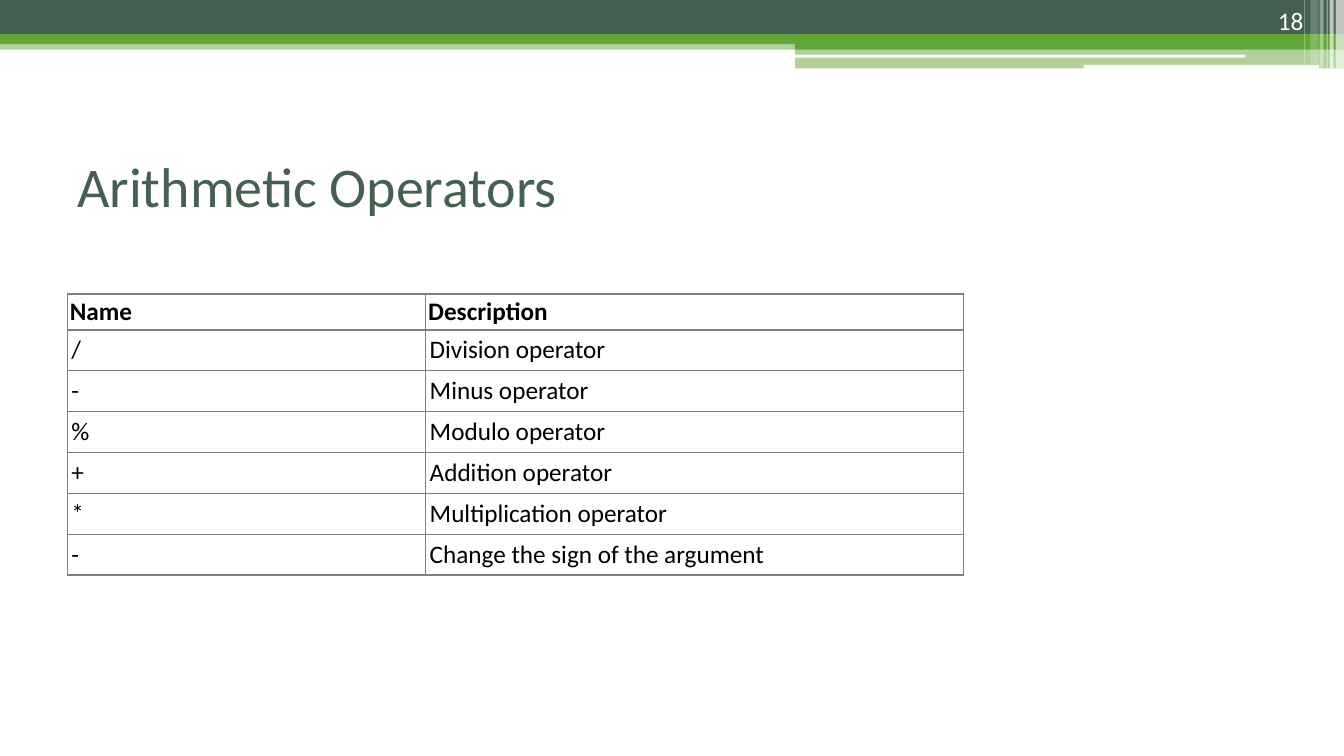
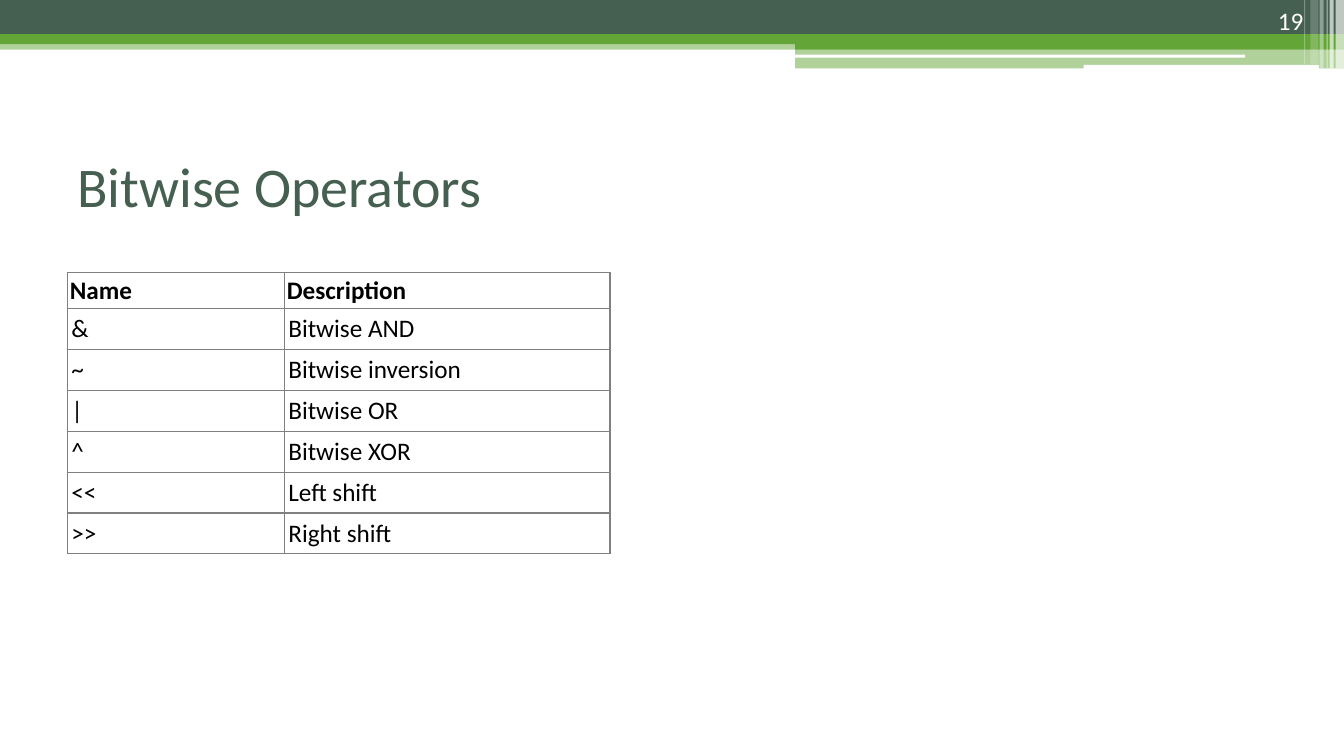
"""Builds two slides of operator tables under a shared green banner."""
from lxml import etree
from pptx import Presentation
from pptx.dml.color import RGBColor
from pptx.enum import shapes, text
from pptx.oxml import ns
from pptx.util import Pt

DARK_GREEN = RGBColor(0x45, 0x5F, 0x51)
GREEN = RGBColor(0x63, 0xA5, 0x37)
WHITE = RGBColor(0xFF, 0xFF, 0xFF)
BLACK = RGBColor(0, 0, 0)
GRAY = RGBColor(0x80, 0x80, 0x80)
FONT = "Calibri"
LEFT = 48
HEADER_HEIGHT, ROW_HEIGHT = 25.7, 29.17
HEADER_INSETS, ROW_INSETS = (1.88, 1.88), (3, 3.6)

RECT = shapes.MSO_SHAPE.RECTANGLE
ROUNDED = shapes.MSO_SHAPE.ROUNDED_RECTANGLE

BANNER = [
    (RECT, (0, 28.8, 960, 6.6), GREEN, 50),
    (RECT, (0, 0, 960, 24.4), DARK_GREEN, 100),
    (RECT, (0, 24.4, 960, 7.2), GREEN, 100),
    (RECT, (568, 28.2, 392, 7.2), GREEN, 100),
    (RECT, (568, 34.7, 392, 14.2), GREEN, 50),
    (ROUNDED, (567.6, 39.1, 321.8, 2.16), WHITE, 100),
    (ROUNDED, (774, 46.3, 168, 2.88), WHITE, 100),
    (RECT, (954, 0, 6, 48.9), WHITE, 65),
    (RECT, (949.8, 0, 2.9, 48.9), WHITE, 65),
    (RECT, (947.6, 0, 0.75, 48.9), WHITE, 60),
    (RECT, (942.6, 0, 2.9, 48.9), WHITE, 40),
    (RECT, (936, 0, 5.8, 46.1), WHITE, 20),
    (RECT, (931.6, 0, 0.75, 46.1), WHITE, 30),
]

ARITHMETIC = [
    ("Name", "Description"),
    ("/", "Division operator"),
    ("-", "Minus operator"),
    ("%", "Modulo operator"),
    ("+", "Addition operator"),
    ("*", "Multiplication operator"),
    ("-", "Change the sign of the argument"),
]

BITWISE = [
    ("Name", "Description"),
    ("&", "Bitwise AND"),
    ("~", "Bitwise inversion"),
    ("|", "Bitwise OR"),
    ("^", "Bitwise XOR"),
    ("<<", "Left shift"),
    (">>", "Right shift"),
]


def add_run(paragraph, wording, size, color, bold=False):
    """Append one formatted run to a paragraph."""
    run = paragraph.add_run()
    run.text = wording
    run.font.name = FONT
    run.font.size = Pt(size)
    run.font.bold = bold
    run.font.color.rgb = color


def add_band(slide, outline, box, color, opacity):
    """Draw one flat banner band and return it."""
    band = slide.shapes.add_shape(outline, *map(Pt, box))
    band.shadow.inherit = False
    band.line.fill.background()
    band.fill.solid()
    band.fill.fore_color.rgb = color
    if opacity < 100:
        tint = band.element.spPr.find(".//" + ns.qn("a:srgbClr"))
        etree.SubElement(tint, ns.qn("a:alpha"), val=str(opacity * 1000))
    return band


def style_layout(layout, slide):
    """Place the title and move the banner, drawn on a slide, to the layout."""
    title = layout.placeholders[0]
    title.left, title.top, title.width, title.height = map(Pt, (LEFT, 90, 864, 84))
    for number, band_style in enumerate(BANNER):
        band = add_band(slide, *band_style).element
        band.nvSpPr.cNvPr.set("id", str(100 + number))
        layout.shapes.element.insert(2 + number, band)


def fill_title(slide, wording):
    """Write the slide title in its placeholder."""
    frame = slide.shapes.title.text_frame
    frame.auto_size = text.MSO_AUTO_SIZE.NONE
    frame.vertical_anchor = text.MSO_ANCHOR.MIDDLE
    frame.paragraphs[0].alignment = text.PP_ALIGN.LEFT
    add_run(frame.paragraphs[0], wording, 40, DARK_GREEN)


def add_page_number(slide, number):
    """Write the page number at the right end of the banner."""
    frame = slide.shapes.add_textbox(Pt(858.2), 0, Pt(80), Pt(28.8)).text_frame
    frame.word_wrap = True
    frame.vertical_anchor = text.MSO_ANCHOR.BOTTOM
    frame.paragraphs[0].alignment = text.PP_ALIGN.RIGHT
    add_run(frame.paragraphs[0], str(number), 18, WHITE)


def add_borders(cell):
    """Give a cell a thin gray line on all four sides."""
    properties = cell._tc.get_or_add_tcPr()
    for side in ("lnL", "lnR", "lnT", "lnB"):
        edge = etree.SubElement(properties, ns.qn("a:" + side), w=str(Pt(1)))
        ink = etree.SubElement(edge, ns.qn("a:solidFill"))
        etree.SubElement(ink, ns.qn("a:srgbClr"), val=str(GRAY))


def fill_cell(cell, wording, is_header):
    """Write and format one table cell."""
    across, down = HEADER_INSETS if is_header else ROW_INSETS
    cell.margin_left = cell.margin_right = Pt(across)
    cell.margin_top = cell.margin_bottom = Pt(down)
    add_borders(cell)
    cell.fill.solid()
    cell.fill.fore_color.rgb = WHITE
    add_run(cell.text_frame.paragraphs[0], wording, 18, BLACK, is_header)


def add_operator_table(slide, operators, top, widths):
    """Add a bordered table of operator names and descriptions."""
    height = HEADER_HEIGHT + ROW_HEIGHT * (len(operators) - 1)
    table = slide.shapes.add_table(
        len(operators), len(widths), Pt(LEFT), Pt(top), Pt(sum(widths)), Pt(height)
    ).table
    table.first_row = table.horz_banding = False
    for column, width in zip(table.columns, widths):
        column.width = Pt(width)
    for index, operator in enumerate(operators):
        is_header = index == 0
        table.rows[index].height = Pt(HEADER_HEIGHT if is_header else ROW_HEIGHT)
        for cell, wording in zip(table.rows[index].cells, operator):
            fill_cell(cell, wording, is_header)


def main():
    """Build and save the presentation."""
    deck = Presentation()
    deck.slide_width, deck.slide_height = Pt(960), Pt(540)
    layout = deck.slide_layouts.get_by_name("Title Only")
    pages = [
        ("Arithmetic Operators", ARITHMETIC, 210, (256, 384.3)),
        ("Bitwise Operators", BITWISE, 194.9, (155, 232.8)),
    ]
    for number, (title, operators, top, widths) in enumerate(pages, start=18):
        slide = deck.slides.add_slide(layout)
        if number == 18:
            style_layout(layout, slide)
        fill_title(slide, title)
        add_page_number(slide, number)
        add_operator_table(slide, operators, top, widths)
    deck.save("out.pptx")


main()
